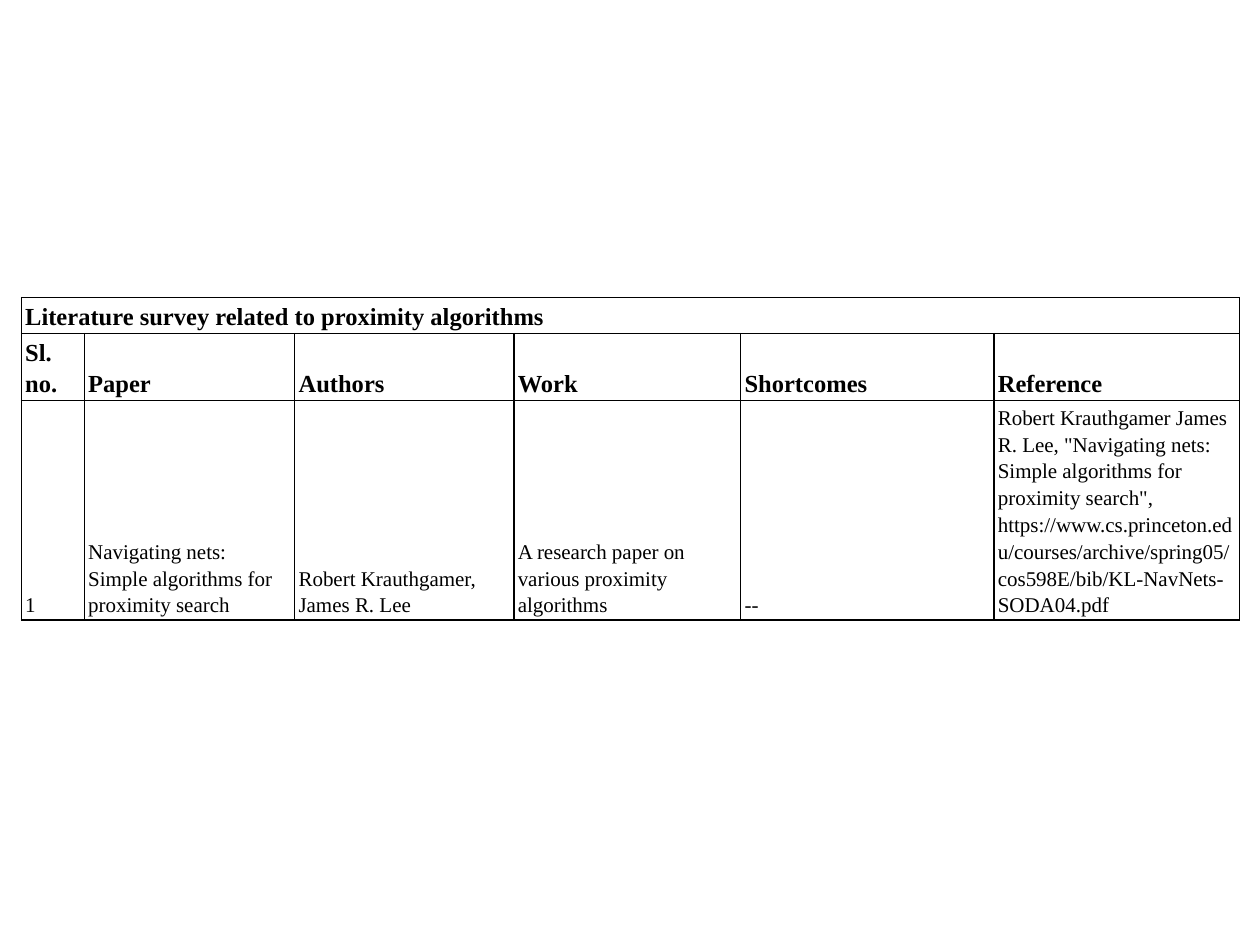
import pptx
import pptx.dml.color
import pptx.enum.text
import pptx.oxml
import pptx.oxml.ns
import pptx.util
from pptx.util import Inches

COLORS = {"ink": "000000", "paper": "FFFFFF"}
COLUMN_WIDTHS = [0.5, 1.67, 1.74, 1.8, 2.01, 1.95]
ROW_HEIGHTS = [0.25, 0.47, 1.5]
TITLE = "Literature survey related to proximity algorithms"
HEADINGS = ["Sl. no.", "Paper", "Authors", "Work", "Shortcomes", "Reference"]
SURVEY = [
    "1",
    "Navigating nets: Simple algorithms for proximity search",
    "Robert Krauthgamer, James R. Lee",
    "A research paper on various proximity algorithms",
    "--",
    'Robert Krauthgamer James R. Lee, "Navigating nets: Simple algorithms for '
    'proximity search", https://www.cs.princeton.edu/courses/archive/spring05/'
    "cos598E/bib/KL-NavNets-SODA04.pdf",
]


def rgb(name):
    return pptx.dml.color.RGBColor.from_string(COLORS[name])


def write_text(frame, text, size=12, bold=False, color="ink", font="Times New Roman"):
    para = frame.paragraphs[0]
    para.line_spacing = 1.15
    span = para.add_run()
    span.text = text
    span.font.name = font
    span.font.size = pptx.util.Pt(size)
    span.font.bold = bold
    span.font.color.rgb = rgb(color)


class SlideBuilder:
    """Hold the table style and the current slide."""

    border_width = pptx.util.Pt(0.75)
    side_margin = Inches(0.03)
    end_margin = Inches(0.02)

    def __init__(self, page):
        self.page = page

    def add_borders(self, cell):
        properties = cell._tc.get_or_add_tcPr()
        for index, side in enumerate(("lnL", "lnR", "lnT", "lnB")):
            border = pptx.oxml.parse_xml(
                f'<a:{side} {pptx.oxml.ns.nsdecls("a")} w="{self.border_width}">'
                f'<a:solidFill><a:srgbClr val="{COLORS["ink"]}"/></a:solidFill></a:{side}>'
            )
            properties.insert(index, border)

    def style_cell(self, cell):
        cell.fill.background()
        cell.vertical_anchor = pptx.enum.text.MSO_ANCHOR.BOTTOM
        cell.margin_left = cell.margin_right = self.side_margin
        cell.margin_top = cell.margin_bottom = self.end_margin
        self.add_borders(cell)

    def add_table(self, left, top, widths, heights):
        table = self.page.shapes.add_table(
            len(heights), len(widths), Inches(left), Inches(top),
            Inches(sum(widths)), Inches(sum(heights)),
        ).table
        table.first_row = table.horz_banding = False
        for column, width in zip(table.columns, widths):
            column.width = Inches(width)
        for row, height in zip(table.rows, heights):
            row.height = Inches(height)
        for cell in table.iter_cells():
            self.style_cell(cell)
        return table

    def fill_row(self, row, texts, **style):
        for cell, text in zip(row.cells, texts):
            write_text(cell.text_frame, text, **style)


def main():
    deck = pptx.Presentation()
    deck.slide_width, deck.slide_height = Inches(10), Inches(7.5)
    page = deck.slides.add_slide(deck.slide_layouts[6])
    page.background.fill.solid()
    page.background.fill.fore_color.rgb = rgb("paper")
    builder = SlideBuilder(page)
    table = builder.add_table(0.17, 2.36, COLUMN_WIDTHS, ROW_HEIGHTS)
    table.cell(0, 0).merge(table.cell(0, len(COLUMN_WIDTHS) - 1))
    title_row, heading_row, survey_row = table.rows
    builder.fill_row(title_row, [TITLE], size=14, bold=True)
    builder.fill_row(heading_row, HEADINGS, size=14, bold=True)
    builder.fill_row(survey_row, SURVEY)
    deck.save("out.pptx")


if __name__ == "__main__":
    main()
